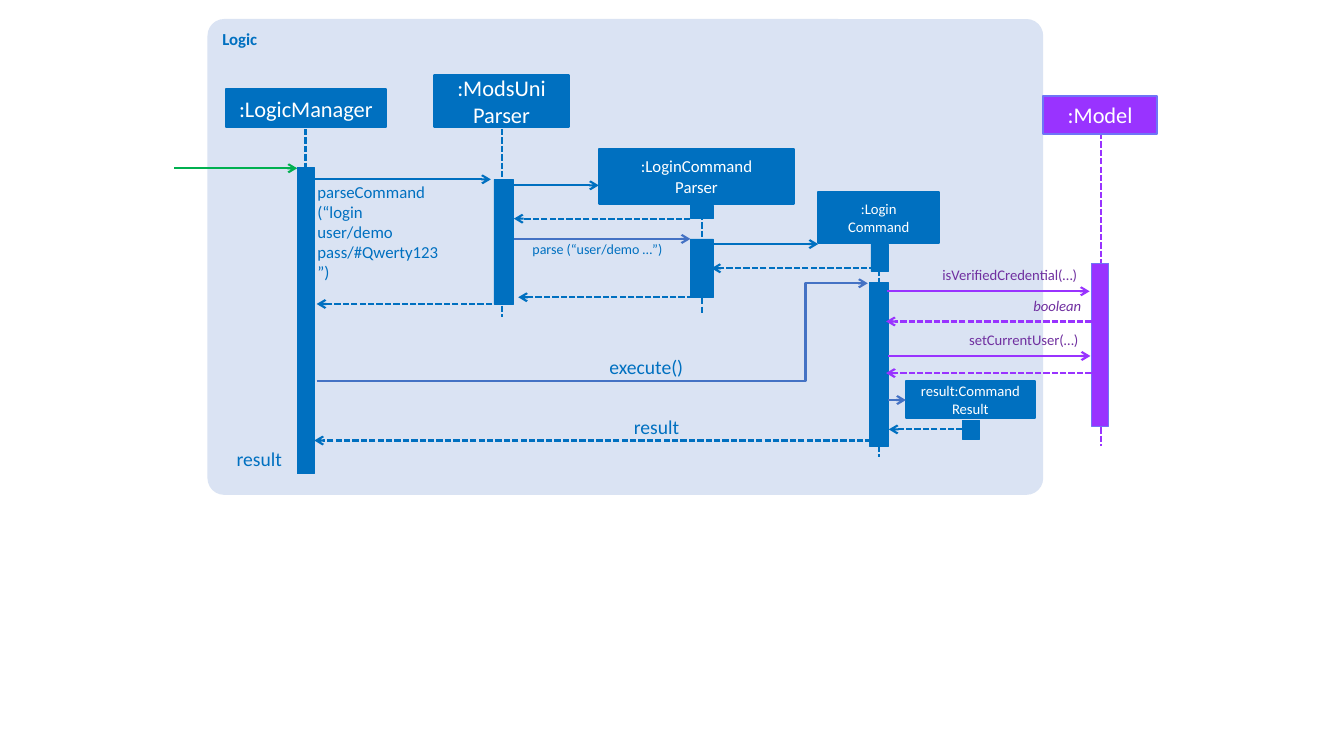
from pptx import Presentation
from pptx.dml.color import RGBColor
from pptx.enum.dml import MSO_LINE
from pptx.enum.shapes import MSO_CONNECTOR as LINK, MSO_SHAPE as SHAPE
from pptx.enum.text import MSO_ANCHOR as ANCHOR, PP_ALIGN as ALIGN
from pptx.oxml.ns import qn
from pptx.util import Cm, Pt
from lxml import etree

BLUE = RGBColor(0x00, 0x70, 0xC0)
INDIGO = RGBColor(0x44, 0x72, 0xC4)
GREEN = RGBColor(0x00, 0xB0, 0x50)
VIOLET = RGBColor(0x99, 0x33, 0xFF)
VIOLET_EDGE = RGBColor(0x6F, 0x75, 0xF7)
PURPLE = RGBColor(0x70, 0x30, 0xA0)
PALE = RGBColor(0xDA, 0xE3, 0xF3)
WHITE = RGBColor(0xFF, 0xFF, 0xFF)

prs = Presentation()
prs.slide_width, prs.slide_height = Cm(33.87), Cm(19.05)
s = prs.slides.add_slide(prs.slide_layouts[6])


def write_text(sp, text, size=12, color=BLUE, align=ALIGN.LEFT,
               anchor=ANCHOR.TOP, bold=False, italic=False):
    tf = sp.text_frame
    tf.word_wrap = True
    tf.vertical_anchor = anchor
    tf.text = text
    for p in tf.paragraphs:
        p.alignment = align
        for r in p.runs:
            r.font.name, r.font.size = "Calibri", Pt(size)
            r.font.bold, r.font.italic = bold, italic
            r.font.color.rgb = color


def add_line(x1, y1, x2, y2, color=BLUE, dashed=False, arrow=True, kind=LINK.STRAIGHT):
    sp = s.shapes.add_connector(kind, Cm(x1), Cm(y1), Cm(x2), Cm(y2))
    sp.line.color.rgb = color
    sp.line.width = Pt(1.5)
    if dashed:
        sp.line.dash_style = MSO_LINE.SQUARE_DOT
    if arrow:
        etree.SubElement(sp.line._get_or_add_ln(), qn("a:tailEnd"), type="arrow")
    etree.SubElement(sp._element.spPr, qn("a:effectLst"))
    return sp


# Logic panel
panel = s.shapes.add_shape(SHAPE.ROUNDED_RECTANGLE, Cm(5.23), Cm(0.48), Cm(21.06), Cm(11.99))
panel.adjustments[0] = 0.035
panel.shadow.inherit = False
panel.fill.solid()
panel.fill.fore_color.rgb = PALE
panel.line.fill.background()
write_text(panel, "Logic", bold=True)

# Lifelines: x, top, bottom, colour
for x, top, bottom, color in [
    (7.7, 3.25, 10.46, BLUE),
    (12.65, 3.25, 7.98, BLUE),
    (17.68, 5.18, 7.92, BLUE),
    (22.15, 6.15, 11.51, BLUE),
    (27.74, 3.35, 11.23, VIOLET),
]:
    add_line(x, top, x, bottom, color, dashed=True, arrow=False)

# Participants and activation bars: text, text size, left, top, width, height
for text, size, *place in [
    (":LogicManager", 16, 5.69, 2.24, 4.04, 0.97),
    (":ModsUni\nParser", 16, 10.95, 1.9, 3.38, 1.3),
    (":LoginCommand\nParser", 12, 15.09, 3.76, 4.93, 1.37),
    (":Login\nCommand", 10.5, 20.62, 4.85, 3.05, 1.27),
    ("result:Command Result", 10.5, 22.83, 9.6, 3.25, 0.94),
    (":Model", 16, 26.29, 2.41, 2.87, 0.97),
    ("", 0, 7.49, 4.22, 0.43, 7.72),
    ("", 0, 12.45, 4.52, 0.48, 3.15),
    ("", 0, 17.4, 5.18, 0.58, 0.33),
    ("", 0, 17.4, 6.02, 0.58, 1.47),
    ("", 0, 21.95, 6.15, 0.43, 0.69),
    ("", 0, 21.92, 7.11, 0.46, 4.14),
    ("", 0, 24.26, 10.59, 0.43, 0.48),
    ("", 0, 27.51, 6.63, 0.43, 4.11),
]:
    sp = s.shapes.add_shape(SHAPE.RECTANGLE, *map(Cm, place))
    in_model = place[0] > 26
    sp.shadow.inherit = False
    sp.fill.solid()
    sp.fill.fore_color.rgb = VIOLET if in_model else BLUE
    sp.line.color.rgb = VIOLET_EDGE if in_model else BLUE
    sp.line.width = Pt(1.5 if text else 0.5)
    if text:
        write_text(sp, text, size, WHITE, ALIGN.CENTER, ANCHOR.MIDDLE)

# Messages: start x, end x, y, colour; those running leftwards are dashed returns
for start, end, y, color in [
    (4.39, 7.49, 4.24, GREEN),
    (7.92, 12.37, 4.52, BLUE),
    (12.8, 15.09, 4.67, BLUE),
    (17.4, 12.95, 5.51, BLUE),
    (12.95, 17.4, 6.02, INDIGO),
    (17.81, 20.62, 6.15, BLUE),
    (22.07, 17.93, 6.76, BLUE),
    (17.68, 13.06, 7.49, BLUE),
    (12.4, 7.98, 7.66, BLUE),
    (22.35, 27.46, 7.34, VIOLET),
    (27.51, 22.33, 8.1, VIOLET),
    (22.38, 27.48, 8.97, VIOLET),
    (27.51, 22.33, 9.4, VIOLET),
    (22.38, 22.83, 10.08, INDIGO),
    (24.26, 22.4, 10.82, BLUE),
    (21.97, 7.92, 11.1, BLUE),
]:
    add_line(start, y, end, y, color, dashed=end < start)

# The execute() call bends up to the command
execute = add_line(7.98, 9.6, 21.87, 7.14, INDIGO, kind=LINK.ELBOW)
guides = execute._element.spPr.find(qn("a:prstGeom")).get_or_add_avLst()
etree.SubElement(guides, qn("a:gd"), name="adj1", fmla="val 88700")

# Message labels: text, left, top, width, height, format
right = {"align": ALIGN.RIGHT}
call = {"size": 14, **right}
model_call = {"size": 10.5, "color": PURPLE, **right}
for text, *place, style in [
    ("parseCommand\n(“login\nuser/demo\npass/#Qwerty123\n”)", 8, 4.57, 3.96, 2.57, {}),
    ("parse (“user/demo …”)", 12.73, 6.05, 3.96, 0.43, {"size": 10, **right}),
    ("execute()", 14.83, 8.94, 2.39, 0.61, call),
    ("result", 15.39, 10.46, 1.73, 0.61, call),
    ("result", 5, 11.25, 2.11, 0.61, call),
    ("isVerifiedCredential(…)", 23.19, 6.71, 3.96, 0.46, model_call),
    ("boolean", 23.29, 7.49, 3.96, 0.46, {**model_call, "italic": True}),
    ("setCurrentUser(…)", 23.22, 8.33, 3.96, 0.46, model_call),
]:
    sp = s.shapes.add_textbox(*map(Cm, place))
    tf = sp.text_frame
    tf.margin_left = tf.margin_right = tf.margin_top = tf.margin_bottom = 0
    write_text(sp, text, **style)

prs.save("out.pptx")
